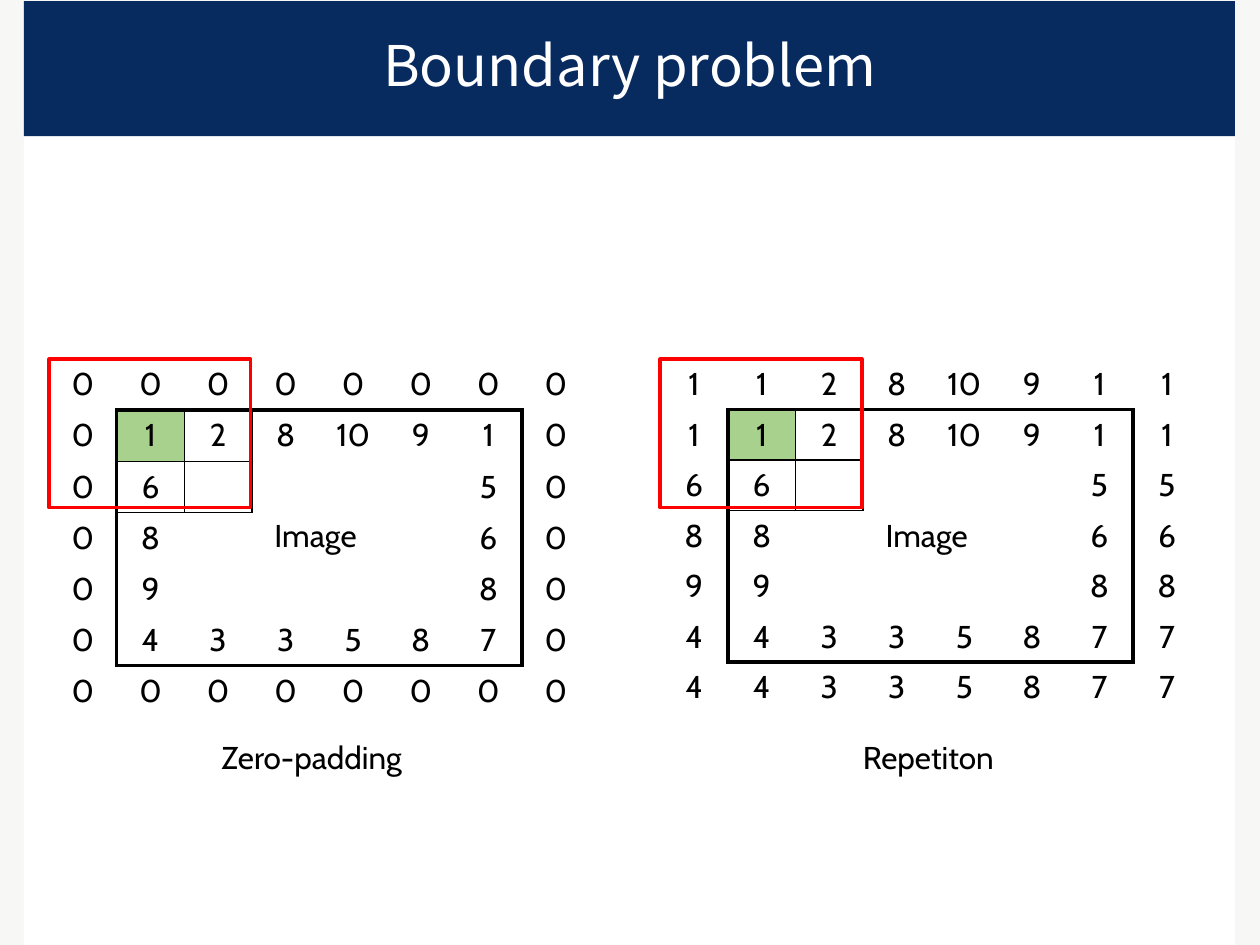
from dataclasses import dataclass

from lxml.etree import SubElement
from pptx import Presentation
from pptx.dml.color import RGBColor
from pptx.enum.shapes import MSO_SHAPE as Preset
from pptx.enum.text import MSO_ANCHOR as Anchor, MSO_AUTO_SIZE as AutoSize, PP_ALIGN as Align
from pptx.oxml.ns import qn
from pptx.util import Inches, Pt

NAVY = RGBColor(0x07, 0x2A, 0x5F)
PAPER = RGBColor(0xF7, 0xF7, 0xF5)
WHITE = RGBColor(0xFF, 0xFF, 0xFF)
BLACK = RGBColor(0, 0, 0)
GREEN = RGBColor(0xA9, 0xD1, 0x8E)
RED = RGBColor(0xFF, 0, 0)

TITLE_FONT, BODY_FONT = "Noto Sans CJK KR", "Cabin"
GRID_TOP, GRID_WIDTH, ROW_HEIGHT = 2.85, 4.29, 0.4
FRAME_WEIGHT, CELL_WEIGHT = 2.25, 1
SIDES = {"L": (0, -1), "R": (0, 1), "T": (-1, 0), "B": (1, 0)}

IMAGE = [
    ["1", "2", "8", "10", "9", "1"],
    ["6", "", "", "", "", "5"],
    ["8", "", "", "", "", "6"],
    ["9", "", "", "", "", "8"],
    ["4", "3", "3", "5", "8", "7"],
]
HEIGHT, WIDTH = len(IMAGE), len(IMAGE[0])


@dataclass
class Padding:
    left: float
    repeats: bool
    caption: str
    caption_left: float
    caption_width: float


PADDINGS = [
    Padding(0.39, False, "Zero-padding", 1.66, 1.73),
    Padding(5.24, True, "Repetiton", 6.75, 1.28),
]


def in_image(row: int, column: int) -> bool:
    return 1 <= row <= HEIGHT and 1 <= column <= WIDTH


def in_filter(row: int, column: int) -> bool:
    """Tell whether the cell is one of the image cells under the red filter."""
    return 1 <= row <= 2 and 1 <= column <= 2


def padded_value(row: int, column: int, repeats: bool) -> str:
    if not in_image(row, column) and not repeats:
        return "0"
    nearest_row = min(max(row, 1), HEIGHT)
    nearest_column = min(max(column, 1), WIDTH)
    return IMAGE[nearest_row - 1][nearest_column - 1]


def border_weight(here: tuple[int, int], there: tuple[int, int]) -> float:
    if in_image(*here) != in_image(*there):
        return FRAME_WEIGHT
    return CELL_WEIGHT if in_filter(*here) or in_filter(*there) else 0


def draw_borders(cell, row: int, column: int) -> None:
    properties = cell._tc.get_or_add_tcPr()
    for side, (down, across) in SIDES.items():
        weight = border_weight((row, column), (row + down, column + across))
        line = SubElement(properties, qn(f"a:ln{side}"), w=str(Pt(weight)))
        if weight:
            fill = SubElement(line, qn("a:solidFill"))
            SubElement(fill, qn("a:srgbClr"), val=str(BLACK))
        else:
            SubElement(line, qn("a:noFill"))


def add_span(para, text: str, size: float, font: str, color: RGBColor) -> None:
    span = para.add_run()
    span.text = text
    span.font.size = Pt(size)
    span.font.name = font
    span.font.color.rgb = color


def add_panel(page, preset, left: float, top: float, width: float, height: float,
              fill: RGBColor | None = None, line: RGBColor | None = None):
    panel = page.shapes.add_shape(preset, Inches(left), Inches(top), Inches(width), Inches(height))
    panel.shadow.inherit = False
    if fill is None:
        panel.fill.background()
    else:
        panel.fill.solid()
        panel.fill.fore_color.rgb = fill
    if line is None:
        panel.line.fill.background()
    else:
        panel.line.color.rgb = line
        panel.line.width = Pt(2)
    return panel


def add_label(page, text: str, left: float, top: float, width: float) -> None:
    box = page.shapes.add_textbox(Inches(left), Inches(top), Inches(width), Inches(0.4))
    box.text_frame.word_wrap = False
    box.text_frame.auto_size = AutoSize.SHAPE_TO_FIT_TEXT
    add_span(box.text_frame.paragraphs[0], text, 18, BODY_FONT, BLACK)


def add_grid(page, padding: Padding) -> None:
    rows, columns = HEIGHT + 2, WIDTH + 2
    table = page.shapes.add_table(rows, columns, Inches(padding.left), Inches(GRID_TOP),
                                  Inches(GRID_WIDTH), Inches(rows * ROW_HEIGHT)).table
    table.first_row = False
    table.horz_banding = False
    for row in range(rows):
        for column in range(columns):
            cell = table.cell(row, column)
            draw_borders(cell, row, column)
            if (row, column) == (1, 1):
                cell.fill.solid()
                cell.fill.fore_color.rgb = GREEN
            else:
                cell.fill.background()
            para = cell.text_frame.paragraphs[0]
            para.alignment = Align.CENTER
            value = padded_value(row, column, padding.repeats)
            if value:
                add_span(para, value, 18, BODY_FONT, BLACK)


def add_example(page, padding: Padding) -> None:
    add_grid(page, padding)
    add_panel(page, Preset.RECTANGLE, padding.left, GRID_TOP, 1.6, 1.18, line=RED)
    add_label(page, "Image", padding.left + 1.69, 4.05, 0.89)
    add_label(page, padding.caption, padding.caption_left, 5.81, padding.caption_width)


def add_title(page, text: str) -> None:
    title = page.shapes.title
    page.shapes._spTree.append(title._element)  # bring in front of the banner
    title.left, title.top = Inches(0.47), Inches(0.21)
    title.width, title.height = Inches(9.06), Inches(0.67)
    title.text_frame.vertical_anchor = Anchor.MIDDLE
    para = title.text_frame.paragraphs[0]
    para.alignment = Align.CENTER
    para.line_spacing = 0.9
    add_span(para, text, 32, TITLE_FONT, WHITE)


def main() -> None:
    deck = Presentation()
    deck.slide_width, deck.slide_height = Inches(10), Inches(7.5)
    page = deck.slides.add_slide(deck.slide_layouts.get_by_name("Title Only"))
    page.background.fill.solid()
    page.background.fill.fore_color.rgb = PAPER

    add_panel(page, Preset.RECTANGLE, 0.19, 1.07, 9.61, 6.43, fill=WHITE)
    banner = add_panel(page, Preset.ROUNDED_RECTANGLE, 0.19, 0.01, 9.61, 1.07, fill=NAVY)
    banner.adjustments[0] = 0
    add_title(page, "Boundary problem")
    for padding in PADDINGS:
        add_example(page, padding)
    deck.save("out.pptx")


if __name__ == "__main__":
    main()
